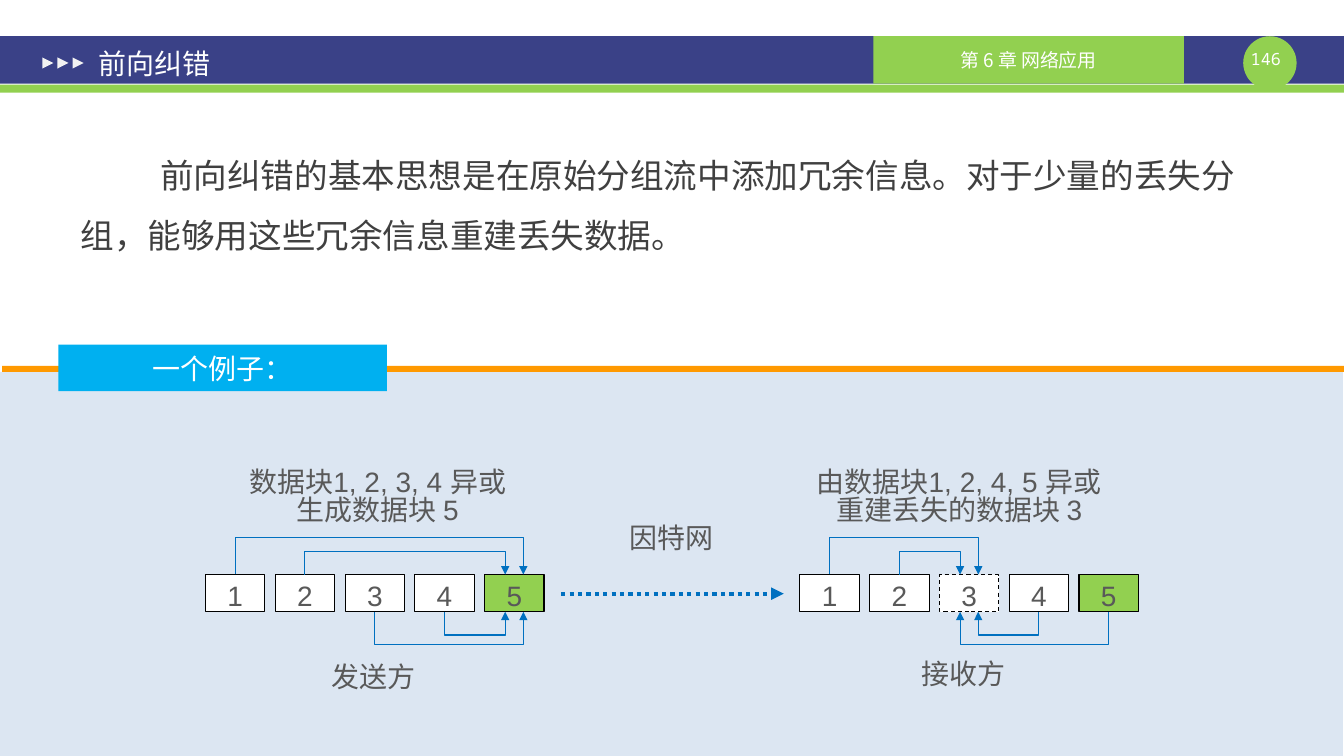
"""Build the forward error correction slide with its sender and receiver example."""
from lxml import etree
from pptx import Presentation
from pptx.dml.color import RGBColor
from pptx.enum.dml import MSO_LINE
from pptx.enum.shapes import MSO_CONNECTOR, MSO_SHAPE
from pptx.enum.text import MSO_ANCHOR, MSO_AUTO_SIZE, PP_ALIGN
from pptx.oxml.ns import qn
from pptx.util import Inches, Pt

RECTANGLE, OVAL, TRIANGLE = MSO_SHAPE.RECTANGLE, MSO_SHAPE.OVAL, MSO_SHAPE.ISOSCELES_TRIANGLE
STRAIGHT = MSO_CONNECTOR.STRAIGHT
DASH, DOTS = MSO_LINE.DASH, MSO_LINE.ROUND_DOT
LEFT, CENTER = PP_ALIGN.LEFT, PP_ALIGN.CENTER
TOP, MIDDLE = MSO_ANCHOR.TOP, MSO_ANCHOR.MIDDLE
NO_AUTOFIT = MSO_AUTO_SIZE.NONE

NAVY, GREEN, BLUE, WHITE, GRAY = "3A4187", "92D050", "0070C0", "FFFFFF", "595959"
CJK_FONT = "Noto Sans CJK SC"
BLOCK_TOP, BLOCK_WIDTH, BLOCK_HEIGHT, BLOCK_PITCH = 5.7, 0.59, 0.37, 2.77 / 4
BLOCK_BOTTOM = BLOCK_TOP + BLOCK_HEIGHT


def add_box(kind, left, top, width, height, fill):
    shape = slide.shapes.add_shape(kind, Inches(left), Inches(top), Inches(width), Inches(height))
    shape.shadow.inherit = False
    shape.fill.solid()
    shape.fill.fore_color.rgb = RGBColor.from_string(fill)
    shape.line.fill.background()
    return shape


def write(shape, lines, size, color, align=CENTER, anchor=MIDDLE, insets=(0, 0),
          wrap=True, spacing=None, font="Arial"):
    frame = shape.text_frame
    frame.auto_size = NO_AUTOFIT
    frame.word_wrap = wrap
    frame.vertical_anchor = anchor
    frame.margin_left = frame.margin_right = Inches(insets[0])
    frame.margin_top, frame.margin_bottom = Inches(insets[1]), 0
    for index, line in enumerate(lines):
        paragraph = frame.add_paragraph() if index else frame.paragraphs[0]
        paragraph.alignment = align
        paragraph.space_before = Pt(0)
        if spacing:
            paragraph.line_spacing = Pt(spacing)
        run = paragraph.add_run()
        run.text = line
        run.font.size = Pt(size)
        run.font.name = font
        run.font.color.rgb = RGBColor.from_string(color)
        east_asian = etree.SubElement(run.font._element, qn("a:ea"))
        east_asian.set("typeface", CJK_FONT)


presentation = Presentation()
presentation.slide_width, presentation.slide_height = Inches(13.34), Inches(7.5)
slide = presentation.slides.add_slide(presentation.slide_layouts[5])

add_box(RECTANGLE, 0, 0.36, 13.34, 0.47, NAVY)
add_box(RECTANGLE, 0, 0.84, 13.34, 0.08, GREEN)
add_box(OVAL, 12.34, 0.36, 0.53, 0.53, GREEN)
page_number = slide.shapes.add_textbox(Inches(12.3), Inches(0.48), Inches(0.53), Inches(0.2))
write(page_number, ["146"], 12, WHITE, font="Noto Sans Mono")
chapter = add_box(RECTANGLE, 8.67, 0.36, 3.08, 0.47, GREEN)
write(chapter, ["第 6 章 网络应用"], 13.5, WHITE, font=CJK_FONT)
for index in range(3):
    marker = add_box(TRIANGLE, 0.42 + 0.15 * index, 0.57, 0.11, 0.11, "F2F2F2")
    marker.rotation = 90

title = slide.shapes.title
title.left, title.top, title.width, title.height = Inches(0.85), Inches(0.39), Inches(5.83), Inches(0.47)
write(title, ["前向纠错"], 20, WHITE, align=LEFT, insets=(0.13, 0))
slide.shapes._spTree.append(title._element)

add_box(RECTANGLE, 0, 3.69, 13.33, 3.81, "DCE6F2")
add_box(RECTANGLE, 0.02, 3.63, 13.32, 0.06, "FF9900")
example = add_box(RECTANGLE, 0.58, 3.42, 3.26, 0.46, "00B0F0")
write(example, ["一个例子："], 20, WHITE)

body = slide.shapes.add_textbox(Inches(0.67), Inches(1.27), Inches(12.01), Inches(1.4))
write(body, ["前向纠错的基本思想是在原始分组流中添加冗余信息。对于少量的丢失分组，能够用这些冗余信息重建丢失数据。"],
      24, "404040", align=LEFT, anchor=TOP, insets=(0.13, 0.07), spacing=43)
body.text_frame.paragraphs[0]._p.get_or_add_pPr().set("indent", str(Inches(0.79)))

labels = [
    (["数据块1, 2, 3, 4 异或", "生成数据块 5"], 3.75, 4.66),
    (["由数据块1, 2, 4, 5 异或", "重建丢失的数据块 3"], 9.52, 4.66),
    (["因特网"], 6.67, 5.22),
    (["发送方"], 3.71, 6.6),
    (["接收方"], 9.56, 6.57),
]
for lines, center, top in labels:
    label = slide.shapes.add_textbox(Inches(center - 1.5), Inches(top), Inches(3), Inches(0.28 * len(lines)))
    write(label, lines, 20, GRAY, anchor=TOP, wrap=False, spacing=20)

arrows = []
parties = [
    (2.04, 5, None, [(1, 0.09, -0.37), (2, -0.09, -0.23), (4, -0.09, 0.23), (3, 0.09, 0.32)]),
    (7.94, 3, 3, [(1, 0.09, -0.37), (2, -0.09, -0.23), (4, 0.09, 0.23), (5, -0.09, 0.32)]),
]
for left, target, lost, links in parties:
    for number in range(1, 6):
        block = add_box(RECTANGLE, left + BLOCK_PITCH * (number - 1), BLOCK_TOP, BLOCK_WIDTH,
                        BLOCK_HEIGHT, GREEN if number == 5 else WHITE)
        block.line.color.rgb = RGBColor.from_string("000000")
        block.line.width = Pt(0.75)
        if number == lost:
            block.line.dash_style = DASH
        write(block, [str(number)], 20, GRAY, anchor=TOP, insets=(0, 0.04))
    for source, offset, rise in links:
        start, end = (left + BLOCK_WIDTH / 2 + BLOCK_PITCH * (number - 1) for number in (source, target))
        end += offset
        edge = BLOCK_TOP if rise < 0 else BLOCK_BOTTOM
        builder = slide.shapes.build_freeform(Inches(start), Inches(edge))
        corners = [(start, edge + rise), (end, edge + rise), (end, edge)]
        builder.add_line_segments([(Inches(x), Inches(y)) for x, y in corners], close=False)
        link = builder.convert_to_shape()
        link.shadow.inherit = False
        link.fill.background()
        arrows.append((link, 0.75))

internet = slide.shapes.add_connector(STRAIGHT, Inches(5.57), Inches(5.89), Inches(7.78), Inches(5.89))
internet.line.dash_style = DOTS
arrows.append((internet, 3))
for arrow, width in arrows:
    arrow.line.color.rgb = RGBColor.from_string(BLUE)
    arrow.line.width = Pt(width)
    etree.SubElement(arrow.line._get_or_add_ln(), qn("a:tailEnd")).set("type", "triangle")
etree.SubElement(internet._element.spPr, qn("a:effectLst"))

presentation.save("out.pptx")
